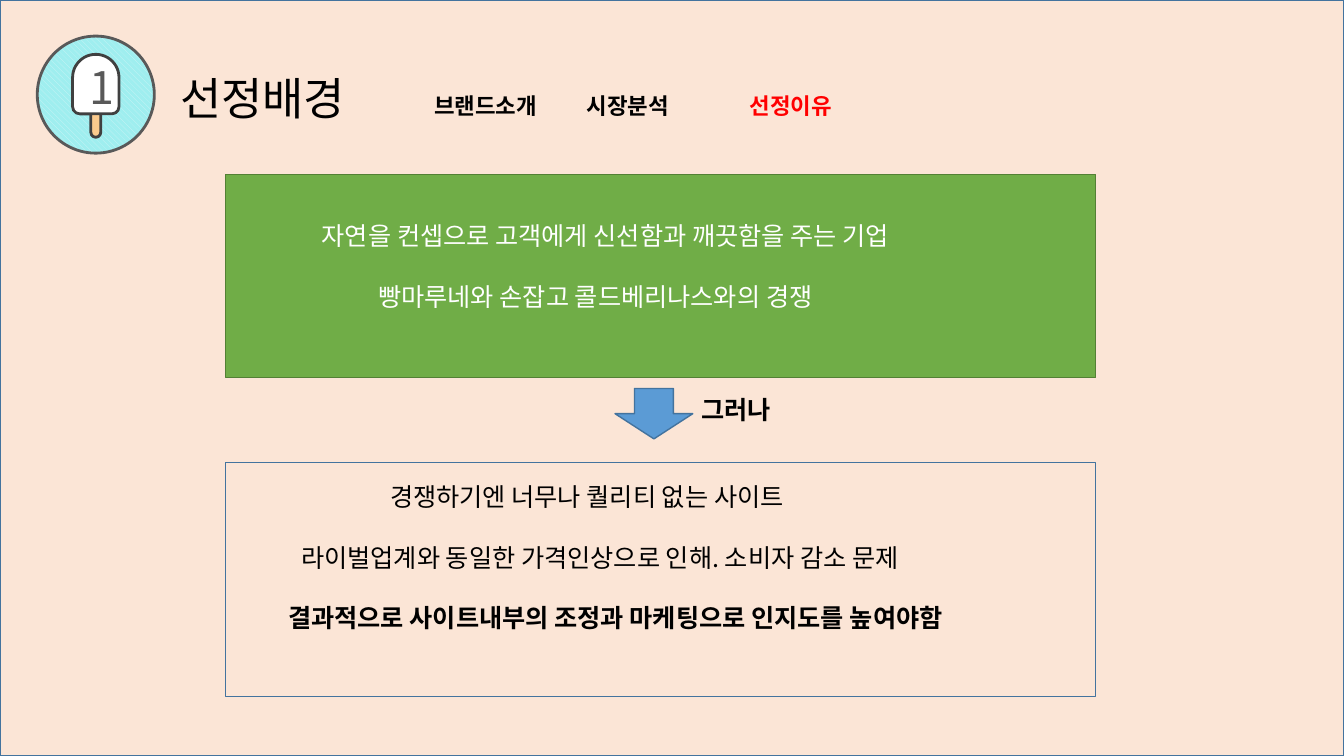
"""Build the slide on why the brand was selected."""
import pptx
import pptx.dml.color
import pptx.enum.dml
import pptx.enum.shapes
import pptx.enum.text
import pptx.oxml
import pptx.oxml.ns
import pptx.util

Cm = pptx.util.Cm
Pt = pptx.util.Pt
Shapes = pptx.enum.shapes.MSO_SHAPE
Align = pptx.enum.text.PP_ALIGN
Anchor = pptx.enum.text.MSO_ANCHOR

COLORS = {
    "peach": "FBE5D6", "navy": "43739E", "blue": "5B9BD5",
    "green": "70AD47", "forest": "538035", "white": "FFFFFF",
    "black": "000000", "red": "FF0000", "grey": "595959",
    "charcoal": "404040", "stick": "FACA8D",
    "aqua": "9FEEEF", "mist": "D1F6F7",
}


class SlideBuilder:
    def __init__(self, slide, font_name):
        self.slide = slide
        self.font_name = font_name

    def color(self, name):
        return pptx.dml.color.RGBColor.from_string(COLORS[name])

    def paint(self, shape, fill, line, width=1):
        if fill:
            shape.fill.solid()
            shape.fill.fore_color.rgb = self.color(fill)
        else:
            shape.fill.background()
        shape.line.color.rgb = self.color(line)
        shape.line.width = Pt(width)

    def background(self, name):
        self.slide.background.fill.solid()
        self.slide.background.fill.fore_color.rgb = self.color(name)

    def format_runs(self, paragraph, size, color, bold=False):
        for run in paragraph.runs:
            font = run.font
            font.size, font.bold, font.name = Pt(size), bold, self.font_name
            font.color.rgb = self.color(color)
            east_asian = pptx.oxml.parse_xml(
                f'<a:ea {pptx.oxml.ns.nsdecls("a")} typeface="{self.font_name}"/>')
            font._element.append(east_asian)

    def place(self, shape, left, top, width, height):
        shape.left, shape.top = Cm(left), Cm(top)
        shape.width, shape.height = Cm(width), Cm(height)

    def clear_margins(self, frame):
        frame.margin_left = frame.margin_right = 0
        frame.margin_top = frame.margin_bottom = 0
        frame.auto_size = pptx.enum.text.MSO_AUTO_SIZE.NONE

    def shape(self, kind, box, fill, line, width=1, adjustments=()):
        shape = self.slide.shapes.add_shape(kind, *map(Cm, box))
        shape.shadow.inherit = False
        self.paint(shape, fill, line, width)
        for index, value in enumerate(adjustments):
            shape.adjustments[index] = value
        return shape

    def title(self, text, box):
        title = self.slide.shapes.title
        self.place(title, *box)
        frame = title.text_frame
        self.clear_margins(frame)
        frame.vertical_anchor = Anchor.MIDDLE
        frame.text = text
        frame.paragraphs[0].alignment = Align.LEFT
        self.format_runs(frame.paragraphs[0], 32, "black")

    def label(self, text, box, size, color):
        frame = self.slide.shapes.add_textbox(*map(Cm, box)).text_frame
        self.clear_margins(frame)
        frame.word_wrap = True
        frame.vertical_anchor = Anchor.MIDDLE
        frame.text = text
        self.format_runs(frame.paragraphs[0], size, color, True)

    def panel(self, index, box, fill, line, text_color, margin_top, lines):
        panel = self.slide.placeholders[index]
        self.place(panel, *box)
        self.paint(panel, fill, line)
        frame = panel.text_frame
        self.clear_margins(frame)
        frame.margin_top = Cm(margin_top)
        frame.vertical_anchor = Anchor.TOP
        frame.text = "\n".join(text for text, _, _ in lines)
        for position, (paragraph, (_, indent, bold)) in enumerate(
                zip(frame.paragraphs, lines)):
            properties = paragraph._p.get_or_add_pPr()
            properties.set("marL", str(Cm(indent)))
            properties.set("indent", "0")
            properties.append(pptx.oxml.parse_xml(
                f'<a:buNone {pptx.oxml.ns.nsdecls("a")}/>'))
            paragraph.line_spacing = 1.0
            paragraph.space_before = Pt(21.6 if position else 0)
            paragraph.space_after = Pt(0)
            self.format_runs(paragraph, 18, text_color, bold)

    def ice_cream_badge(self, number):
        circle = self.shape(Shapes.OVAL, (0.94, 0.91, 2.95, 2.95), "aqua", "grey", 2)
        circle.fill.patterned()
        circle.fill.pattern = pptx.enum.dml.MSO_PATTERN.WIDE_DOWNWARD_DIAGONAL
        circle.fill.fore_color.rgb = self.color("mist")
        circle.fill.back_color.rgb = self.color("aqua")
        rounded = Shapes.ROUND_2_SAME_RECTANGLE
        self.shape(rounded, (2.29, 2.72, 0.25, 0.74), "stick", "charcoal", 2, (0, 0.5))
        ice = self.shape(
            rounded, (1.83, 1.37, 1.17, 1.5), "white", "charcoal", 2, (0.5, 0.154))
        ice.text_frame.text = number
        ice.text_frame.vertical_anchor = Anchor.MIDDLE
        ice.text_frame.paragraphs[0].alignment = Align.CENTER
        self.format_runs(ice.text_frame.paragraphs[0], 32, "grey")


def main():
    presentation = pptx.Presentation()
    presentation.slide_width, presentation.slide_height = Cm(33.87), Cm(19.05)
    slide = presentation.slides.add_slide(presentation.slide_layouts[3])
    builder = SlideBuilder(slide, "Noto Sans CJK KR")

    builder.background("peach")
    builder.shape(Shapes.RECTANGLE, (0, 0, 33.87, 19.05), None, "navy")
    builder.ice_cream_badge("1")
    builder.title("선정배경", (4.54, 1.66, 5, 1.6))
    for text, left, color in (("브랜드소개", 10.94, "black"),
                              ("시장분석", 14.79, "black"),
                              ("선정이유", 18.9, "red")):
        builder.label(text, (left, 2.25, 3.5, 0.8), 16, color)

    builder.panel(1, (5.69, 4.39, 21.92, 5.13), "green", "forest", "white", 1.17, (
        ("자연을 컨셉으로 고객에게 신선함과 깨끗함을 주는 기업", 2.42, False),
        ("빵마루네와 손잡고 콜드베리나스와의 경쟁", 3.84, False),
    ))
    builder.shape(Shapes.DOWN_ARROW, (15.5, 9.79, 1.96, 1.27), "blue", "navy")
    builder.label("그러나", (17.68, 9.87, 3, 0.9), 18, "black")
    builder.panel(2, (5.69, 11.66, 21.92, 5.89), None, "navy", "black", 0.48, (
        ("경쟁하기엔 너무나 퀄리티 없는 사이트", 4.14, False),
        ("라이벌업계와 동일한 가격인상으로 인해. 소비자 감소 문제", 1.9, False),
        ("결과적으로 사이트내부의 조정과 마케팅으로 인지도를 높여야함", 1.57, True),
    ))
    presentation.save("out.pptx")


if __name__ == "__main__":
    main()
